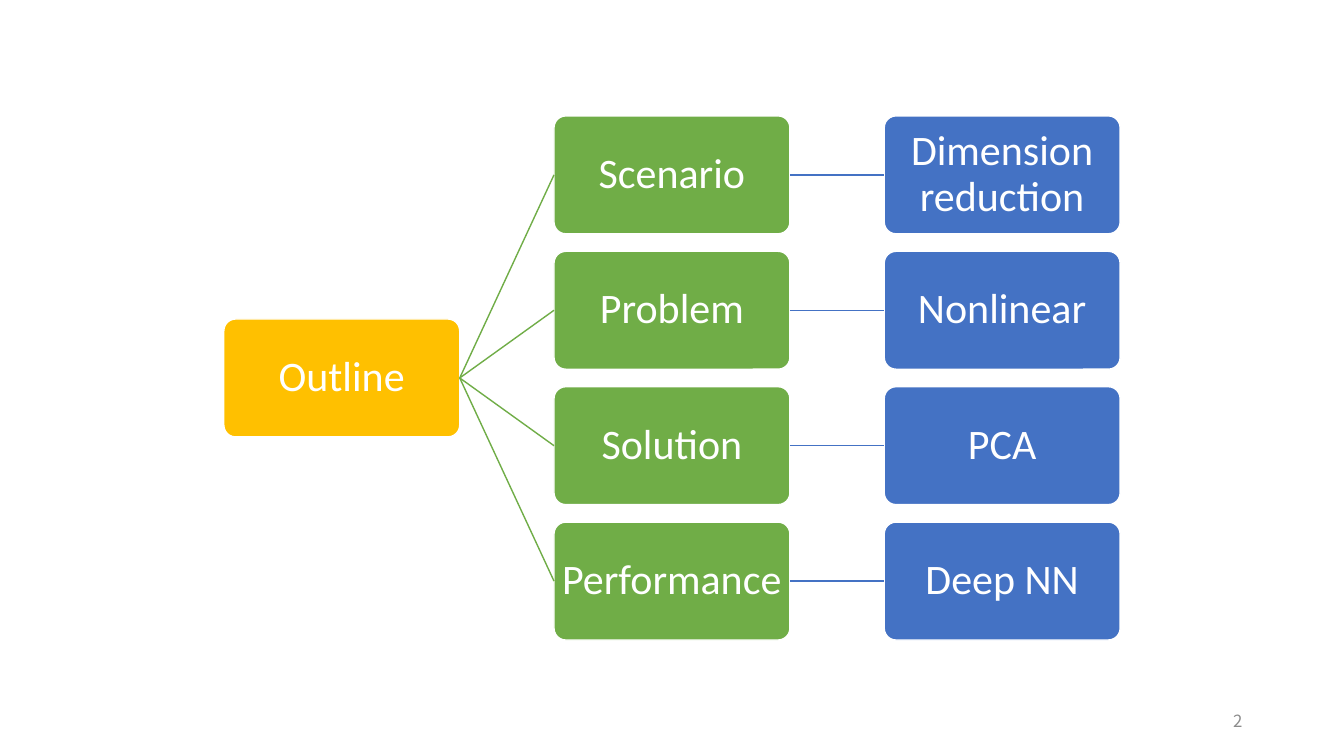
import pptx
import pptx.util
import pptx.dml.color
import pptx.enum.shapes
import pptx.enum.text
import pptx.oxml.ns
import lxml.etree

Inches = pptx.util.Inches
Pt = pptx.util.Pt
RGB = pptx.dml.color.RGBColor.from_string
ALIGN = pptx.enum.text.PP_ALIGN
MIDDLE = pptx.enum.text.MSO_ANCHOR.MIDDLE

theme = {
    "root": RGB("FFC000"),
    "topic": RGB("70AD47"),
    "detail": RGB("4472C4"),
    "white": RGB("FFFFFF"),
    "gray": RGB("8C8C8C"),
    "node_font": "Calibri",
    "number_font": "Noto Sans CJK SC",
    "node_size": Pt(30),
    "number_size": Pt(12),
    "line_width": Pt(1),
}

LEFT, TOP, WIDTH, HEIGHT = 2.22, 1.15, 2.34, 1.17
COLUMN_STEP = (8.77 - LEFT) / 2
ROW_STEP = (5.18 - TOP) / 3
LEFT_SITE, RIGHT_SITE = 1, 3

outline_rows = [
    ("Scenario", "Dimension reduction"),
    ("Problem", "Nonlinear"),
    ("Solution", "PCA"),
    ("Performance", "Deep NN"),
]

node_frame = {"word_wrap": True, "vertical_anchor": MIDDLE}
node_frame.update({f"margin_{side}": Inches(0.02) for side in ("left", "right", "top", "bottom")})
node_paragraph = {"alignment": ALIGN.CENTER, "line_spacing": 0.9}
node_font = {"name": theme["node_font"], "size": theme["node_size"]}
number_frame = {"word_wrap": True, "vertical_anchor": MIDDLE}
number_paragraph = {"alignment": ALIGN.RIGHT}
number_font = {"name": theme["number_font"], "size": theme["number_size"]}


def write(shape, text, color, frame_format, paragraph_format, font_format):
    frame = shape.text_frame
    frame.text = text
    paragraph = frame.paragraphs[0]
    font = paragraph.runs[0].font
    for target, values in ((frame, frame_format), (paragraph, paragraph_format), (font, font_format)):
        for attribute, value in values.items():
            setattr(target, attribute, value)
    font.color.rgb = color


def add_node(text, column, row, color, parent=None):
    node = slide.shapes.add_shape(
        pptx.enum.shapes.MSO_SHAPE.ROUNDED_RECTANGLE,
        Inches(LEFT + column * COLUMN_STEP), Inches(TOP + row * ROW_STEP),
        Inches(WIDTH), Inches(HEIGHT))
    node.adjustments[0] = 0.1
    node.shadow.inherit = False
    node.fill.solid()
    node.fill.fore_color.rgb = color
    node.line.color.rgb = theme["white"]
    node.line.width = theme["line_width"]
    write(node, text, theme["white"], node_frame, node_paragraph, node_font)
    if parent is not None:
        branch = slide.shapes.add_connector(pptx.enum.shapes.MSO_CONNECTOR.STRAIGHT, 0, 0, 0, 0)
        branch.begin_connect(parent, RIGHT_SITE)
        branch.end_connect(node, LEFT_SITE)
        branch.line.color.rgb = color
        branch.line.width = theme["line_width"]
        lxml.etree.SubElement(branch._element.spPr, pptx.oxml.ns.qn("a:effectLst"))
    return node


presentation = pptx.Presentation()
presentation.slide_width = Inches(13.33)
presentation.slide_height = Inches(7.5)
slide = presentation.slides.add_slide(presentation.slide_layouts[6])

outline = add_node("Outline", 0, (len(outline_rows) - 1) / 2, theme["root"])
for row, (topic_text, detail_text) in enumerate(outline_rows):
    topic = add_node(topic_text, 1, row, theme["topic"], outline)
    add_node(detail_text, 2, row, theme["detail"], topic)

page_number = slide.shapes.add_textbox(Inches(9.42), Inches(6.95), Inches(3), Inches(0.4))
write(page_number, "2", theme["gray"], number_frame, number_paragraph, number_font)

presentation.save("out.pptx")
